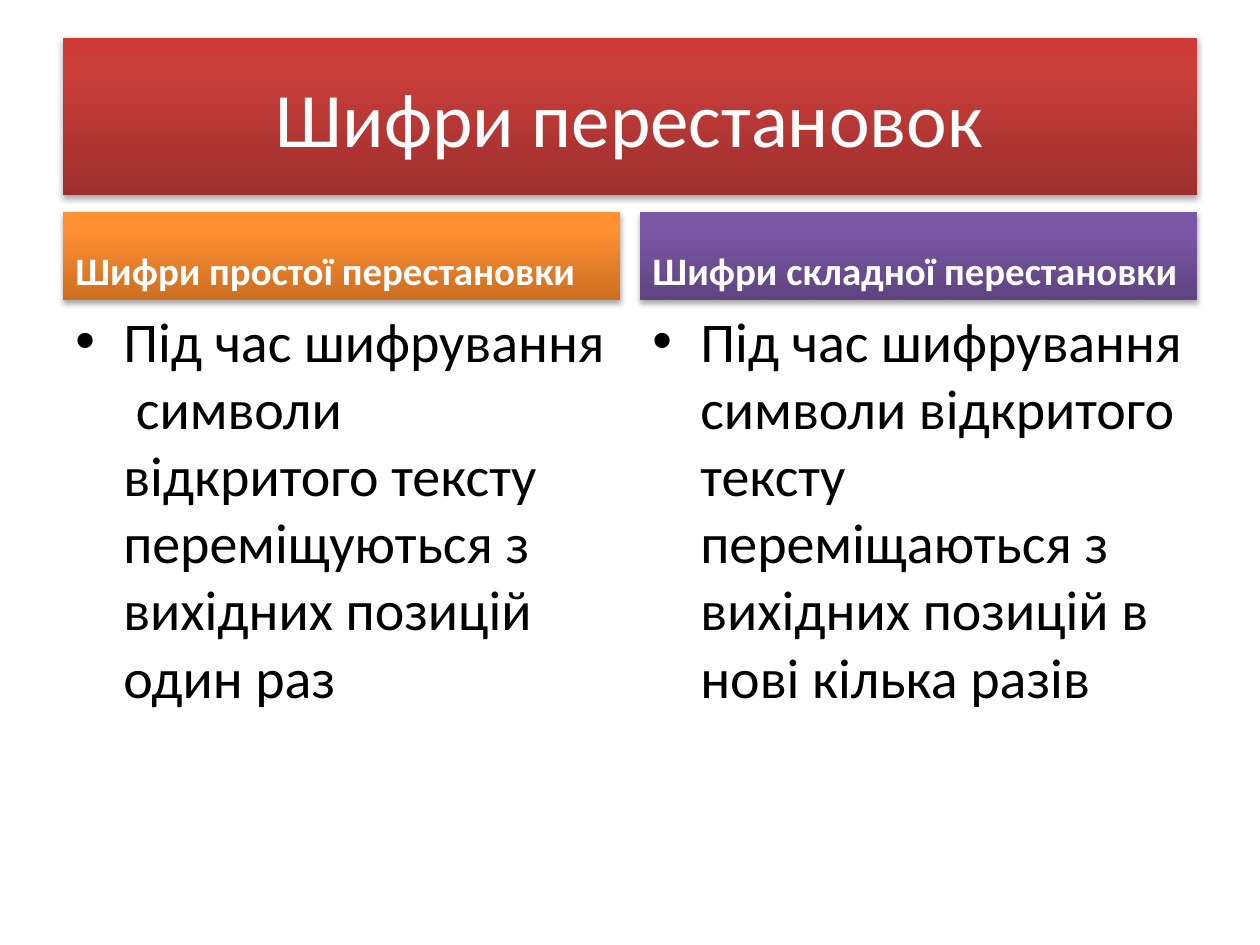
from copy import deepcopy

from lxml.etree import SubElement
from pptx import Presentation
from pptx.dml.color import RGBColor
from pptx.enum.shapes import MSO_SHAPE
from pptx.enum.text import MSO_ANCHOR, PP_ALIGN
from pptx.oxml.ns import qn
from pptx.util import Inches, Pt

WHITE = RGBColor(0xFF, 0xFF, 0xFF)
BLACK = RGBColor(0, 0, 0)
# Gradient colours run from the bottom edge to the top edge
RED = [RGBColor(0x9C, 0x2F, 0x2D), RGBColor(0xCB, 0x3E, 0x3A), RGBColor(0xCE, 0x3B, 0x37)]
ORANGE = [RGBColor(0xCC, 0x6E, 0x20), RGBColor(0xFF, 0x90, 0x34), RGBColor(0xFF, 0x91, 0x36)]
PURPLE = [RGBColor(0x5F, 0x44, 0x80), RGBColor(0x7B, 0x58, 0xA6), RGBColor(0x7C, 0x57, 0xA8)]


def write_text(box, text, size, color=WHITE, bold=False, align=PP_ALIGN.LEFT,
               anchor=MSO_ANCHOR.TOP, bullet=False):
    frame = box.text_frame
    frame.word_wrap = True
    frame.vertical_anchor = anchor
    para = frame.paragraphs[0]
    para.alignment = align
    if bullet:
        props = para._p.get_or_add_pPr()
        props.set("marL", str(Inches(0.38)))
        props.set("indent", str(-Inches(0.38)))
        SubElement(props, qn("a:buFont"), typeface="Arial")
        SubElement(props, qn("a:buChar"), char="•")
    span = para.add_run()
    span.text = text
    span.font.name = "Calibri"
    span.font.size = Pt(size)
    span.font.bold = bold
    span.font.color.rgb = color


def style_banner(shape, colors):
    # Three-stop vertical gradient
    shape.fill.gradient()
    shape.fill.gradient_angle = 90
    stop_list = shape._element.spPr.find(qn("a:gradFill")).find(qn("a:gsLst"))
    stop_list.append(deepcopy(stop_list[-1]))
    for stop, color, position in zip(shape.fill.gradient_stops, colors, (0, 0.8, 1)):
        stop.color.rgb = color
        stop.position = position
    shape.line.fill.background()
    # Soft shadow below
    shape.shadow.inherit = False
    effects = shape._element.spPr.find(qn("a:effectLst"))
    shadow = SubElement(effects, qn("a:outerShdw"), blurRad=str(Pt(3.1)),
                        dist=str(Pt(1.8)), dir="5400000", rotWithShape="0")
    shade = SubElement(shadow, qn("a:srgbClr"), val="000000")
    SubElement(shade, qn("a:alpha"), val="35000")


deck = Presentation()
deck.slide_width, deck.slide_height = Inches(10), Inches(7.5)
page = deck.slides.add_slide(deck.slide_layouts[5])

# Title banner
title = page.shapes.title
title.left, title.top = Inches(0.5), Inches(0.3)
title.width, title.height = Inches(9), Inches(1.25)
style_banner(title, RED)
write_text(title, "Шифри перестановок", 44, align=PP_ALIGN.CENTER, anchor=MSO_ANCHOR.MIDDLE)

# Two columns: heading banner with a bulleted text below
columns = [
    (0.5, ORANGE, "Шифри простої перестановки",
     "Під час шифрування  символи відкритого тексту переміщуються "
     "з вихідних позицій один раз"),
    (5.08, PURPLE, "Шифри складної перестановки",
     "Під час шифрування символи відкритого тексту переміщаються "
     "з вихідних позицій в нові кілька разів"),
]
for left, colors, heading, body in columns:
    banner = page.shapes.add_shape(MSO_SHAPE.RECTANGLE, Inches(left), Inches(1.68),
                                   Inches(4.42), Inches(0.7))
    style_banner(banner, colors)
    write_text(banner, heading, 22.2, bold=True, anchor=MSO_ANCHOR.BOTTOM)
    box = page.shapes.add_textbox(Inches(left), Inches(2.38), Inches(4.42), Inches(4.32))
    write_text(box, body, 32, color=BLACK, bullet=True)

deck.save("out.pptx")
